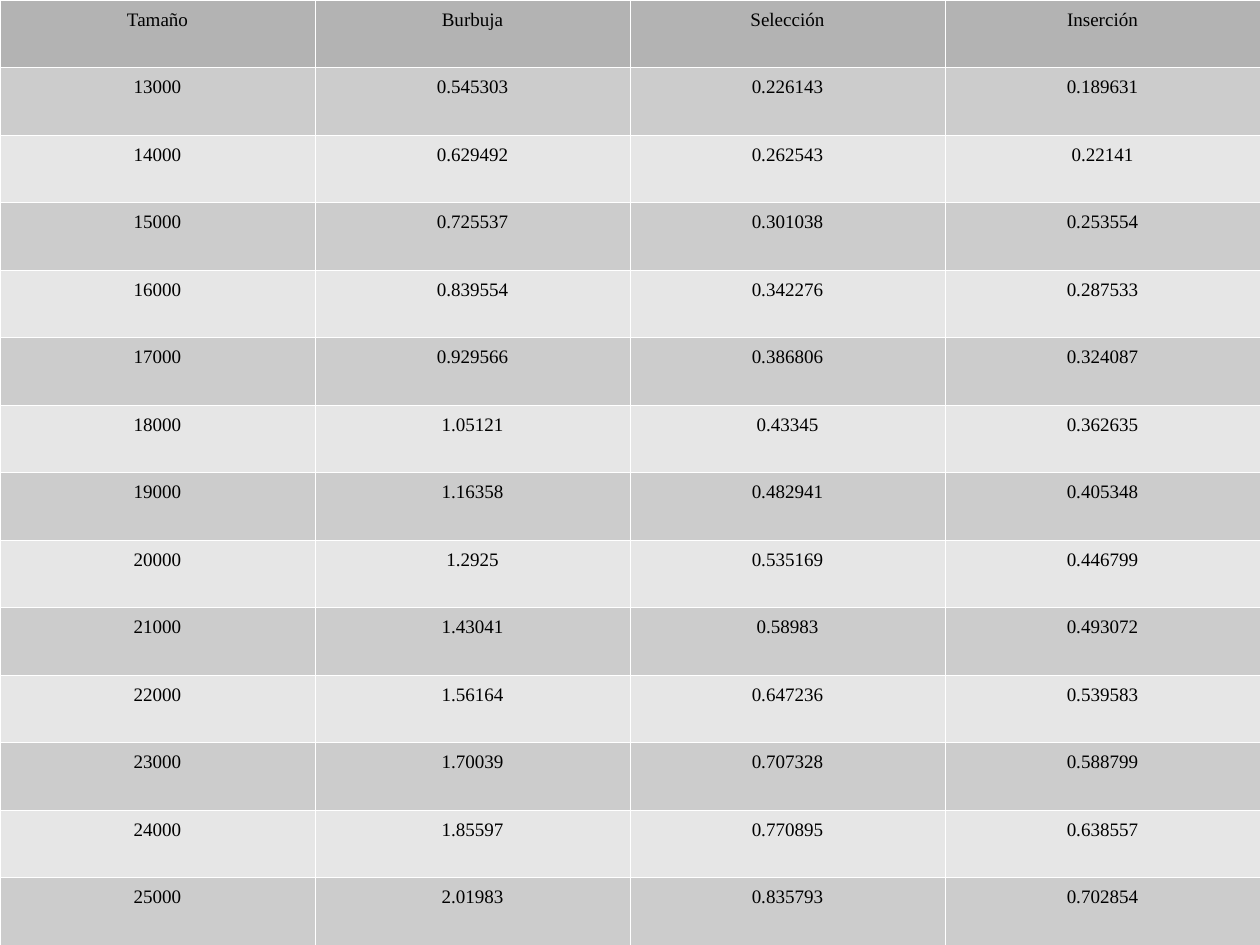
from dataclasses import astuple, dataclass

from lxml.etree import SubElement as Sub
from pptx import Presentation
from pptx.dml.color import RGBColor as RGB
from pptx.enum.text import PP_ALIGN as Align
from pptx.oxml.ns import qn
from pptx.table import Table, _Cell as Cell
from pptx.util import Cm, Pt

WIDE, HIGH = Cm(28), Cm(21)
FONT, SIZE, LEAD = "Times New Roman", Pt(12), 1.18
INK, EDGE, HEAD = "000000", "FFFFFF", "B3B3B3"
BANDS = "CCCCCC", "E6E6E6"
RULE = Pt(0.06)


@dataclass
class Row:
    size: str
    bubble: str
    select: str
    insert: str


ROWS = [
    Row("Tamaño", "Burbuja", "Selección", "Inserción"),
    Row("13000", "0.545303", "0.226143", "0.189631"),
    Row("14000", "0.629492", "0.262543", "0.22141"),
    Row("15000", "0.725537", "0.301038", "0.253554"),
    Row("16000", "0.839554", "0.342276", "0.287533"),
    Row("17000", "0.929566", "0.386806", "0.324087"),
    Row("18000", "1.05121", "0.43345", "0.362635"),
    Row("19000", "1.16358", "0.482941", "0.405348"),
    Row("20000", "1.2925", "0.535169", "0.446799"),
    Row("21000", "1.43041", "0.58983", "0.493072"),
    Row("22000", "1.56164", "0.647236", "0.539583"),
    Row("23000", "1.70039", "0.707328", "0.588799"),
    Row("24000", "1.85597", "0.770895", "0.638557"),
    Row("25000", "2.01983", "0.835793", "0.702854"),
]
COLS = len(astuple(ROWS[0]))


def paint(fmt, tint: str) -> None:
    """Give a fill one solid colour."""
    fmt.solid()
    fmt.fore_color.rgb = RGB.from_string(tint)


def edge(cell: Cell) -> None:
    """Rule all four sides; must run before the cell's fill is set."""
    props = cell._tc.get_or_add_tcPr()
    for side in ("lnL", "lnR", "lnT", "lnB"):
        line = Sub(props, qn(f"a:{side}"), w=str(int(RULE)))
        fill = Sub(line, qn("a:solidFill"))
        Sub(fill, qn("a:srgbClr"), val=EDGE)


def write(cell: Cell, text: str, tint: str) -> None:
    edge(cell)
    paint(cell.fill, tint)
    para = cell.text_frame.paragraphs[0]
    para.alignment = Align.CENTER
    para.line_spacing = LEAD
    run = para.add_run()
    run.text = text
    run.font.name, run.font.size = FONT, SIZE
    paint(run.font.fill, INK)


def fill_in(table: Table) -> None:
    table.first_row = table.horz_banding = False
    for r, row in enumerate(ROWS):
        tint = BANDS[(r - 1) % 2] if r else HEAD
        for c, text in enumerate(astuple(row)):
            write(table.cell(r, c), text, tint)


def main() -> None:
    deck = Presentation()
    deck.slide_width, deck.slide_height = WIDE, HIGH
    slide = deck.slides.add_slide(deck.slide_layouts.get_by_name("Blank"))
    frame = slide.shapes.add_table(len(ROWS), COLS, 0, 0, WIDE, HIGH)
    fill_in(frame.table)
    deck.save("out.pptx")


if __name__ == "__main__":
    main()
